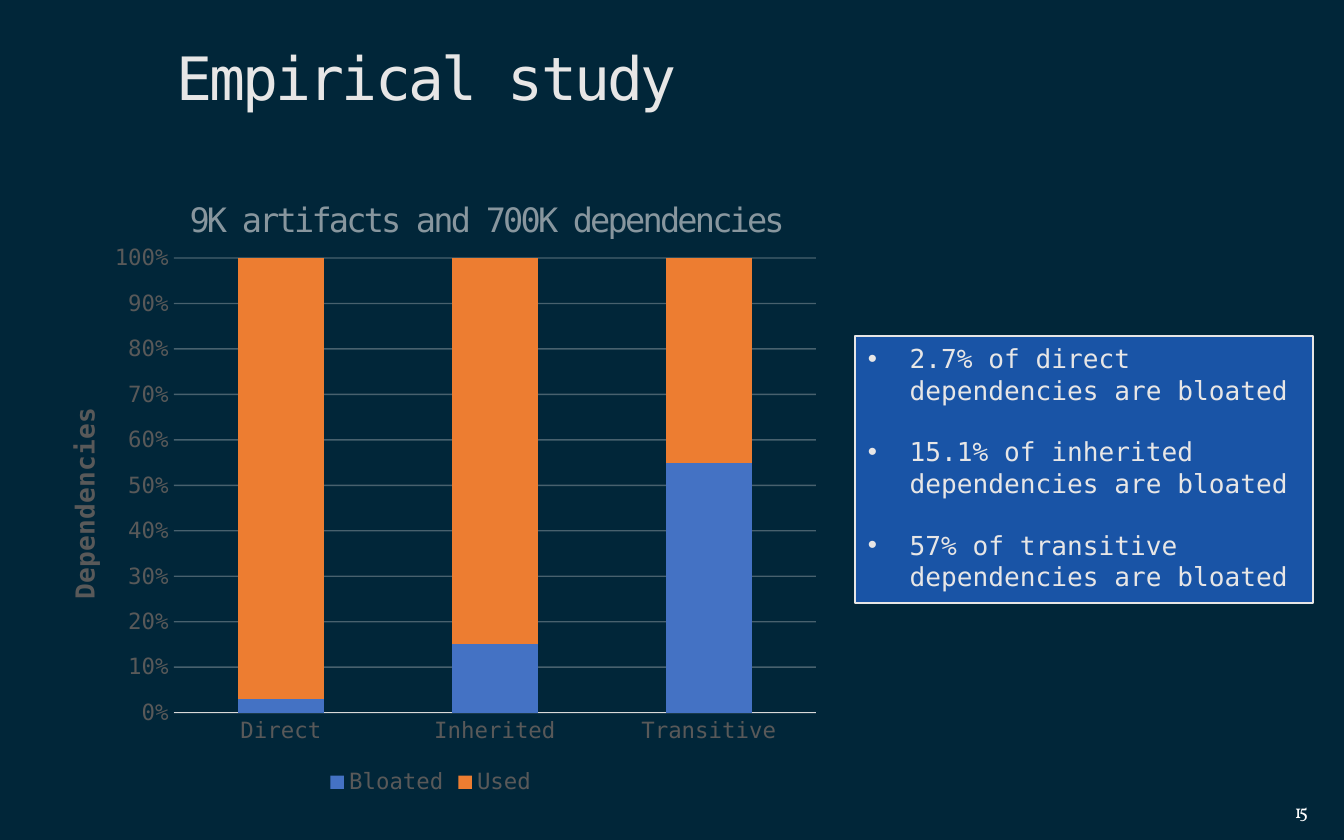
import pptx
import pptx.chart.data
import pptx.dml.color
import pptx.enum.chart
import pptx.enum.shapes
import pptx.enum.text
import pptx.oxml
import pptx.oxml.ns
import pptx.util

WIDTH, HEIGHT = 10, 6.25
MONO, SERIF = "DejaVu Sans Mono", "Vollkorn"
TIGHT = -150  # letter spacing in hundredths of a point
COLORS = {
    "background": "012639",
    "light": "E7E6E6",
    "white": "FFFFFF",
    "panel": "1954A6",
    "label": "595959",
    "axis": "D9D9D9",
    "Bloated": "4472C4",
    "Used": "ED7D31",
}
CATEGORIES = ["Direct", "Inherited", "Transitive"]
BLOATED = [3, 15, 55]
FINDINGS = [
    "2.7% of direct dependencies are bloated",
    "15.1% of inherited dependencies are bloated",
    "57% of transitive dependencies are bloated",
]
ALIGN = pptx.enum.text.PP_ALIGN
ANCHOR = pptx.enum.text.MSO_ANCHOR
qn = pptx.oxml.ns.qn


def color(name):
    return pptx.dml.color.RGBColor.from_string(COLORS[name])


def box(left, top, width, height):
    return [pptx.util.Inches(length) for length in (left, top, width, height)]


def set_alpha(element, percent):
    for rgb in element.iter(qn("a:srgbClr")):
        pptx.oxml.ns  # namespace helpers are shared with the bullets
        alpha = rgb.makeelement(qn("a:alpha"), {"val": str(percent * 1000)})
        rgb.append(alpha)


def set_font(font, size, color_name, name=MONO):
    font.size = pptx.util.Pt(size)
    font.name = name
    font.fill.solid()
    font.fill.fore_color.rgb = color(color_name)


def write_tight(frame, text, size, color_name, align, name=MONO, spacing=None):
    """Write one paragraph with narrowed letter spacing."""
    frame.word_wrap = True
    paragraph = frame.paragraphs[0]
    paragraph.text = text
    paragraph.alignment = align
    paragraph.line_spacing = spacing
    set_font(paragraph.font, size, color_name, name)
    properties = paragraph._p.pPr.find(qn("a:defRPr"))
    properties.set("spc", str(TIGHT))
    return properties


def set_layout(layout, inner=False, **shares):
    """Place a chart part by shares of the chart's size."""
    manual = layout.makeelement(qn("c:manualLayout"), {})
    layout.append(manual)
    values = {"layoutTarget": "inner"} if inner else {}
    values.update(xMode="edge", yMode="edge", **shares)
    for tag, value in values.items():
        manual.append(manual.makeelement(qn("c:" + tag), {"val": str(value)}))


def add_title(slide, text):
    title = slide.shapes.title
    title.left, title.top, title.width, title.height = box(1.21, 0.25, 8.62, 0.7)
    title.text_frame.vertical_anchor = ANCHOR.MIDDLE
    write_tight(title.text_frame, text, 32, "light", ALIGN.LEFT, spacing=0.9)


def add_text(slide, place, text, size, color_name, align, **options):
    anchor = options.pop("anchor", ANCHOR.TOP)
    frame = slide.shapes.add_textbox(*box(*place)).text_frame
    frame.vertical_anchor = anchor
    return write_tight(frame, text, size, color_name, align, **options)


def add_dependency_chart(slide, place):
    data = pptx.chart.data.CategoryChartData()
    data.categories = CATEGORIES
    data.add_series("Bloated", BLOATED)
    data.add_series("Used", [100 - value for value in BLOATED])
    kind = pptx.enum.chart.XL_CHART_TYPE.COLUMN_STACKED_100
    chart = slide.shapes.add_chart(kind, *box(*place), data).chart
    chart.has_title = False
    set_font(chart.font, 12, "label")

    # Columns
    plot = chart.plots[0]
    plot.gap_width, plot.overlap = 150, 100
    plot.vary_by_categories = False
    for series in plot.series:
        series.format.fill.solid()
        series.format.fill.fore_color.rgb = color(series.name)

    # Axes
    for axis in (chart.category_axis, chart.value_axis):
        axis.major_tick_mark = pptx.enum.chart.XL_TICK_MARK.NONE
        axis.minor_tick_mark = pptx.enum.chart.XL_TICK_MARK.NONE
        set_font(axis.tick_labels.font, 12, "label")
    category_line = chart.category_axis.format.line
    category_line.color.rgb = color("axis")
    category_line.width = pptx.util.Pt(0.75)

    values = chart.value_axis
    values.format.line.fill.background()
    values.major_unit = 0.1
    values.tick_labels.number_format = "0%"
    values.tick_labels.number_format_is_linked = False
    values.has_major_gridlines = True
    gridline = values.major_gridlines.format.line
    gridline.color.rgb = color("light")
    gridline.width = pptx.util.Pt(0.75)
    set_alpha(values._element.find(qn("c:majorGridlines")), 31)

    # Value axis title, turned to read upwards
    frame = values.axis_title.text_frame
    frame.text = "Dependencies"
    set_font(frame.paragraphs[0].font, 14, "label")
    frame._txBody.bodyPr.set("rot", "-5400000")
    frame._txBody.bodyPr.set("vert", "horz")
    title = values.axis_title._element
    set_layout(title.find(qn("c:layout")), x=0.04, y=0.3)

    # Legend and plot area
    chart.has_legend = True
    chart.legend.position = pptx.enum.chart.XL_LEGEND_POSITION.BOTTOM
    chart.legend.include_in_layout = False
    set_font(chart.legend.font, 12, "label")
    area = chart._chartSpace.chart.plotArea
    layout = area.find(qn("c:layout"))
    if layout is None:
        layout = area.makeelement(qn("c:layout"), {})
        area.insert(0, layout)
    set_layout(layout, inner=True, x=0.18, y=0.045, w=0.8, h=0.8)


def add_findings(slide, place):
    kind = pptx.enum.shapes.MSO_SHAPE.RECTANGLE
    panel = slide.shapes.add_shape(kind, *box(*place))
    panel.shadow.inherit = False
    panel.fill.solid()
    panel.fill.fore_color.rgb = color("panel")
    panel.line.color.rgb = color("light")
    panel.line.width = pptx.util.Pt(1)
    frame = panel.text_frame
    frame.word_wrap = True
    frame.vertical_anchor = ANCHOR.TOP
    indent = pptx.util.Inches(0.31)
    for index, finding in enumerate(FINDINGS):
        paragraph = frame.add_paragraph() if index else frame.paragraphs[0]
        paragraph.text = finding
        paragraph.alignment = ALIGN.LEFT
        if index:
            paragraph.space_before = pptx.util.Pt(16.3)
        properties = paragraph._p.get_or_add_pPr()
        properties.set("marL", str(indent))
        properties.set("indent", str(-indent))
        for tag, key, value in (("a:buFont", "typeface", "Arial"), ("a:buChar", "char", "•")):
            properties.append(properties.makeelement(qn(tag), {key: value}))
        set_font(paragraph.font, 14, "light")


def main():
    presentation = pptx.Presentation()
    presentation.slide_width = pptx.util.Inches(WIDTH)
    presentation.slide_height = pptx.util.Inches(HEIGHT)
    slide = presentation.slides.add_slide(presentation.slide_layouts[5])
    slide.background.fill.solid()
    slide.background.fill.fore_color.rgb = color("background")

    add_title(slide, "Empirical study")
    add_text(slide, (7.58, 5.87, 2.25, 0.33), "15", 10, "white", ALIGN.RIGHT,
             name=SERIF, anchor=ANCHOR.MIDDLE)
    add_dependency_chart(slide, (0.22, 1.73, 5.97, 4.23))
    add_findings(slide, (6.36, 2.5, 3.41, 1.99))
    subtitle = add_text(slide, (1.21, 1.28, 4.83, 0.5), "9K artifacts and 700K dependencies",
                        18, "light", ALIGN.CENTER, spacing=1.5)
    set_alpha(subtitle, 58)
    presentation.save("out.pptx")


if __name__ == "__main__":
    main()
